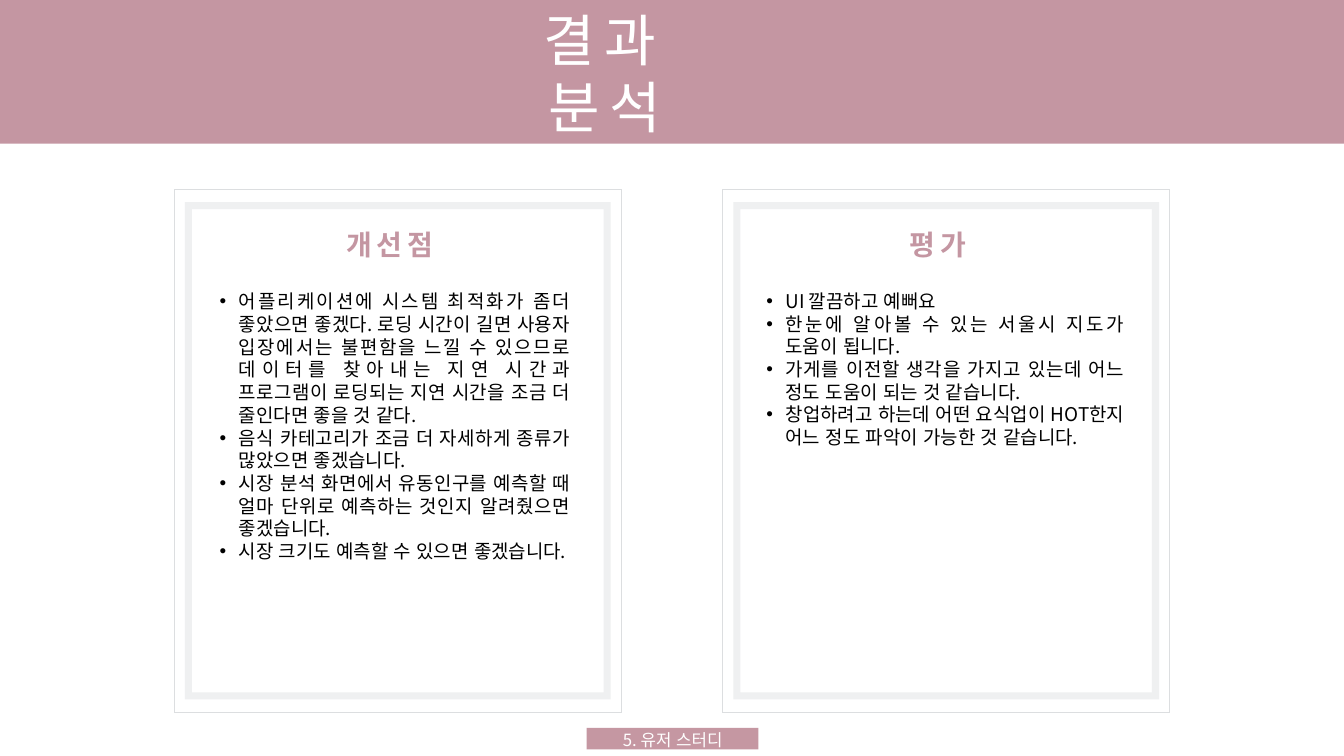
from dataclasses import dataclass

from lxml.etree import SubElement
from pptx import Presentation
from pptx.dml.color import RGBColor
from pptx.enum.lang import MSO_LANGUAGE_ID
from pptx.enum.shapes import MSO_SHAPE
from pptx.enum.text import MSO_ANCHOR, PP_ALIGN
from pptx.oxml.ns import qn
from pptx.util import Inches, Pt


@dataclass(frozen=True)
class Theme:
    font: str = "Noto Sans CJK KR"
    rose: str = "C496A2"
    tag: str = "C597A2"
    frame: str = "DCDEE0"
    white: str = "FFFFFF"
    black: str = "000000"
    title: int = 80
    heading: int = 40
    body: int = 27
    footer: int = 24


class SlideBuilder:
    def __init__(self, slide, theme):
        self.slide = slide
        self.theme = theme

    def rectangle(self, left, top, width, height, fill=None, line=None, weight=1, alpha=None):
        shape = self.slide.shapes.add_shape(
            MSO_SHAPE.RECTANGLE, Inches(left), Inches(top), Inches(width), Inches(height))
        shape.shadow.inherit = False
        if fill:
            shape.fill.solid()
            shape.fill.fore_color.rgb = RGBColor.from_string(fill)
        else:
            shape.fill.background()
        if line:
            shape.line.color.rgb = RGBColor.from_string(line)
            shape.line.width = Pt(weight)
            outline = shape.line._ln
            SubElement(outline, qn("a:miter"), lim="400000")
            if alpha:
                color = outline.find(".//" + qn("a:srgbClr"))
                SubElement(color, qn("a:alpha"), val=str(alpha * 1000))
        else:
            shape.line.fill.background()

    def text(self, left, top, width, height, lines, size, color, bold=False,
             spacing=0, bullets=False, anchor=MSO_ANCHOR.MIDDLE, inset=0.08):
        box = self.slide.shapes.add_textbox(
            Inches(left), Inches(top), Inches(width), Inches(height))
        frame = box.text_frame
        frame.word_wrap = True
        frame.vertical_anchor = anchor
        frame.margin_left = frame.margin_right = Inches(inset)
        frame.margin_top = frame.margin_bottom = Inches(min(inset, 0.08))
        frame.text = "\n".join(lines)
        for para in frame.paragraphs:
            para.alignment = PP_ALIGN.JUSTIFY if bullets else PP_ALIGN.CENTER
            if bullets:
                self.bullet(para)
            for span in para.runs:
                span.font.size = Pt(size)
                span.font.bold = bold
                span.font.name = self.theme.font
                span.font.language_id = MSO_LANGUAGE_ID.KOREAN
                span.font.color.rgb = RGBColor.from_string(color)
                properties = span.font._element
                SubElement(properties, qn("a:ea"), typeface=self.theme.font)
                properties.set("kern", "0")
                if spacing:
                    properties.set("spc", str(round(spacing * 100)))

    def bullet(self, para):
        properties = para._p.get_or_add_pPr()
        properties.set("marL", str(Inches(0.38)))
        properties.set("indent", str(-Inches(0.38)))
        SubElement(properties, qn("a:buFont"), typeface="Arial")
        SubElement(properties, qn("a:buChar"), char="•")

    def card(self, left, heading):
        theme = self.theme
        self.rectangle(left + 0.28, 4.08, 8.31, 9.73, line=theme.frame, weight=10, alpha=44)
        self.rectangle(left, 3.76, 8.87, 10.38, line=theme.frame, weight=2)
        self.text(left - 0.32, 4.38, 9.19, 0.94, [heading], theme.heading, theme.rose,
                  bold=True, spacing=6.8)

    def bullet_list(self, left, width, height, items):
        self.text(left, 5.65, width, height, items, self.theme.body, self.theme.black,
                  bullets=True)


IMPROVEMENTS = [
    "어플리케이션에 시스템 최적화가 좀더 좋았으면 좋겠다. 로딩 시간이 길면 사용자 입장에서는 "
    "불편함을 느낄 수 있으므로 데이터를 찾아내는 지연 시간과 프로그램이 로딩되는 지연 시간을 "
    "조금 더 줄인다면 좋을 것 같다.",
    "음식 카테고리가 조금 더 자세하게 종류가 많았으면 좋겠습니다.",
    "시장 분석 화면에서 유동인구를 예측할 때 얼마 단위로 예측하는 것인지 알려줬으면 좋겠습니다.",
    "시장 크기도 예측할 수 있으면 좋겠습니다.",
]
REVIEWS = [
    "UI 깔끔하고 예뻐요",
    "한눈에 알아볼 수 있는 서울시 지도가 도움이 됩니다.",
    "가게를 이전할 생각을 가지고 있는데 어느 정도 도움이 되는 것 같습니다.",
    "창업하려고 하는데 어떤 요식업이 HOT한지 어느 정도 파악이 가능한 것 같습니다.",
]


def main():
    deck = Presentation()
    deck.slide_width = Inches(26.67)
    deck.slide_height = Inches(15)
    theme = Theme()
    page = SlideBuilder(deck.slides.add_slide(deck.slide_layouts[6]), theme)

    # Cards
    page.card(3.46, "개선점")
    page.card(14.34, "평가")

    # Title band
    page.rectangle(-0.04, 0, 26.75, 2.85, fill=theme.rose)
    page.text(10.65, 0.01, 2.7, 2.85, ["결과 분석"], theme.title, theme.white, spacing=14)

    # Footer tag
    page.rectangle(11.64, 14.44, 3.41, 0.43, fill=theme.tag)
    page.text(11.6, 14.39, 3.5, 0.5, ["5. 유저 스터디"], theme.footer, theme.white,
              anchor=MSO_ANCHOR.TOP, inset=0.1)

    # Card contents
    page.bullet_list(4.28, 7.11, 5.61, IMPROVEMENTS)
    page.bullet_list(15.13, 7.26, 3.34, REVIEWS)

    deck.save("out.pptx")


if __name__ == "__main__":
    main()
